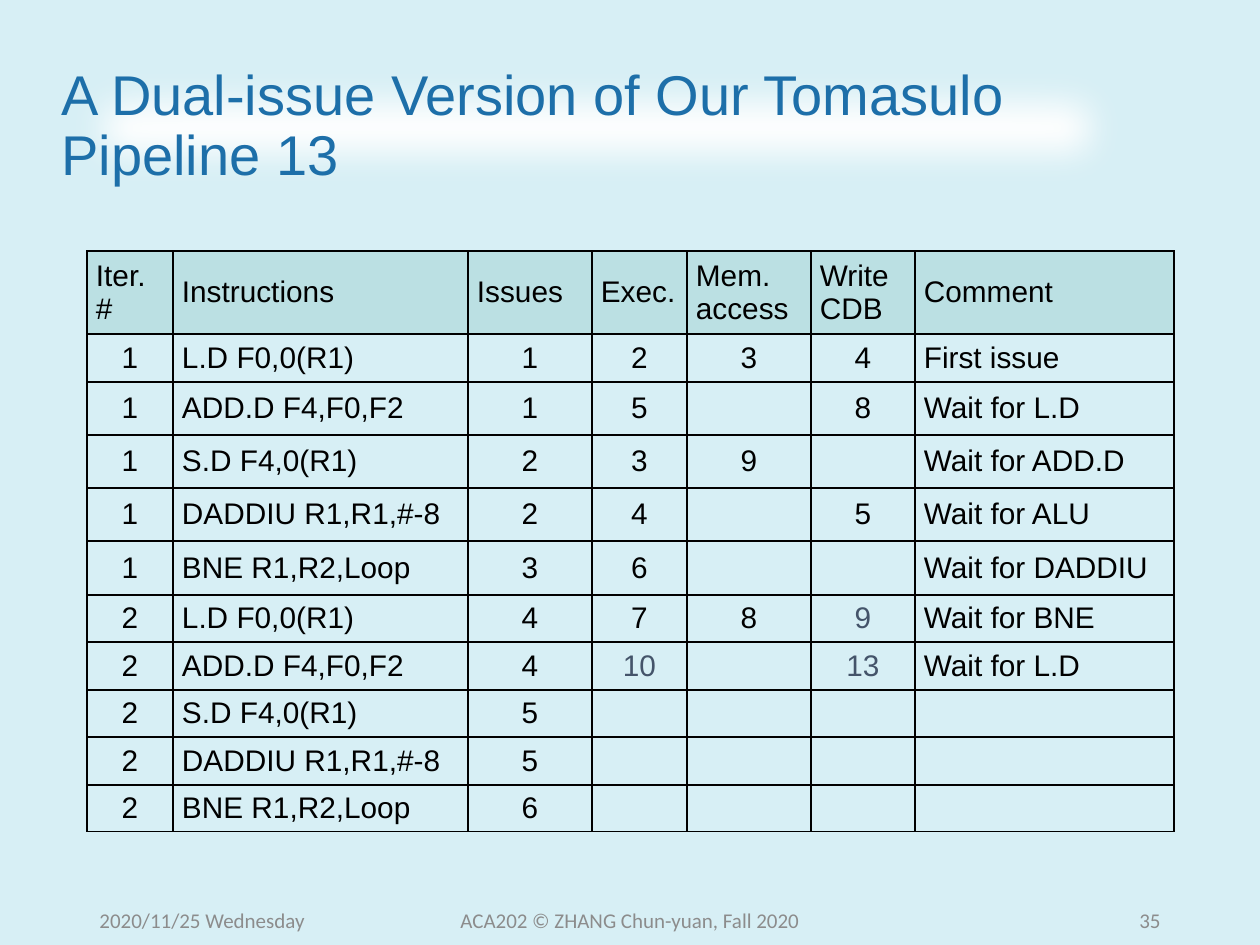
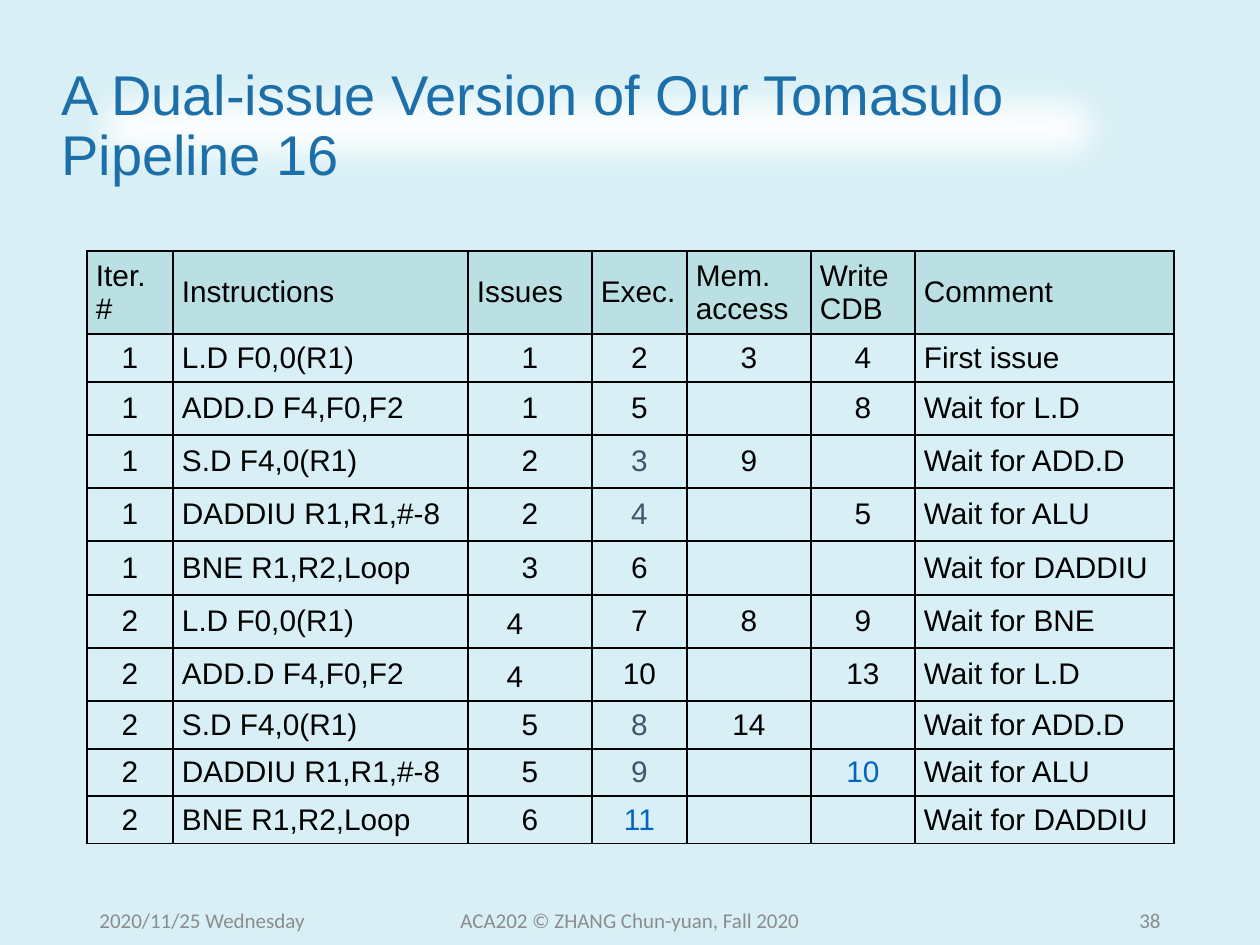
from itertools import pairwise

from lxml import etree
from pptx import Presentation
from pptx.dml.color import RGBColor
from pptx.enum.shapes import MSO_SHAPE
from pptx.enum.text import MSO_ANCHOR, PP_ALIGN
from pptx.oxml.ns import qn
from pptx.util import Emu, Pt

LEFT, CENTER, RIGHT = PP_ALIGN.LEFT, PP_ALIGN.CENTER, PP_ALIGN.RIGHT
JUSTIFY = PP_ALIGN.JUSTIFY
MIDDLE = MSO_ANCHOR.MIDDLE
RECTANGLE = MSO_SHAPE.RECTANGLE

PX_PER_INCH = 126
SLIDE_SIZE = (1260, 945)
TITLE_BOX = (49, 50, 1095, 155)
TABLE_LEFT = 87
FOOTER_TOP, FOOTER_HEIGHT = 895, 50

BACKGROUND = "D7EFF5"
WHITE = "FFFFFF"
BLACK = "000000"
HEADER_FILL = "BBE0E3"
SLATE = "44546A"
BLUE = "0563C1"

TITLE_FORMAT = {"name": "Arial", "size": Pt(32), "color": "1D6FA9"}
CELL_FORMAT = {"name": "Arial", "size": Pt(17), "color": BLACK}
FOOTER_FORMAT = {"name": "Calibri", "size": Pt(12), "color": "8C8C8C"}
CELL_MARGINS = {"margin_left": 9, "margin_right": 9, "margin_top": 5, "margin_bottom": 5}

HEADERS = ["Iter. #", "Instructions", "Issues", "Exec.", "Mem. access", "Write CDB", "Comment"]
COLUMN_WIDTHS = [86, 295, 124, 95, 124, 104, 259]
TEXT_COLUMNS = (1, 6)

LOOP_BODY = ["L.D F0,0(R1)", "ADD.D F4,F0,F2", "S.D F4,0(R1)", "DADDIU R1,R1,#-8", "BNE R1,R2,Loop"]
# Execute, memory access, write to the common data bus, comment
TIMINGS = [
    ("2", "3", "4", "First issue"),
    ("5", "", "8", "Wait for L.D"),
    ("3", "9", "", "Wait for ADD.D"),
    ("4", "", "5", "Wait for ALU"),
    ("6", "", "", "Wait for DADDIU"),
    ("7", "8", "9", "Wait for BNE"),
    ("10", "", "13", "Wait for L.D"),
    ("8", "14", "", "Wait for ADD.D"),
    ("9", "", "10", "Wait for ALU"),
    ("11", "", "", "Wait for DADDIU"),
]

# Highlights map (row, column) to a text colour; row lines are the rules between rows.
PIPELINE_SLIDES = [
    {
        "cycle": 13,
        "number": 35,
        "issues": ["1", "1", "2", "2", "3", "4", "4", "5", "5", "6"],
        "timed_rows": 7,
        "highlights": {(6, 5): SLATE, (7, 3): SLATE, (7, 5): SLATE},
        "row_lines": [251, 334, 382, 435, 488, 541, 595, 642, 690, 737, 785, 832],
    },
    {
        "cycle": 16,
        "number": 38,
        "issues": ["1", "1", "2", "2", "3", "4　", "4　", "5", "5", "6"],
        "timed_rows": 10,
        "highlights": {(3, 3): SLATE, (4, 3): SLATE, (8, 3): SLATE, (9, 3): SLATE,
                       (9, 5): BLUE, (10, 3): BLUE},
        "row_lines": [251, 334, 382, 435, 488, 541, 595, 648, 701, 749, 796, 844],
    },
]


def px(length):
    return Emu(round(length * 914400 / PX_PER_INCH))


def rgb(color):
    return RGBColor.from_string(color)


def write_text(text_frame, text, text_format, alignment):
    """Fill the first paragraph and return it."""
    paragraph = text_frame.paragraphs[0]
    paragraph.alignment = alignment
    run = paragraph.add_run()
    run.text = text
    for name, value in text_format.items():
        if name == "color":
            run.font.color.rgb = rgb(value)
        else:
            setattr(run.font, name, value)
    return paragraph


def soften_edges(shape, radius):
    properties = shape.fill._xPr
    effects = properties.find(qn("a:effectLst"))
    etree.SubElement(effects, qn("a:softEdge"), rad=str(radius))


def add_title(slide, box, text):
    band = slide.shapes.add_shape(RECTANGLE, *map(px, box))
    band.shadow.inherit = False
    band.fill.solid()
    band.fill.fore_color.rgb = rgb(WHITE)
    band.line.fill.background()
    soften_edges(band, Pt(25))
    frame = band.text_frame
    frame.word_wrap = True
    frame.vertical_anchor = MIDDLE
    write_text(frame, text, TITLE_FORMAT, LEFT).line_spacing = 0.9


def add_borders(cell):
    properties = cell._tc.get_or_add_tcPr()
    for side in ("lnL", "lnR", "lnT", "lnB"):
        line = etree.SubElement(properties, qn(f"a:{side}"), w=str(Pt(1)))
        fill = etree.SubElement(line, qn("a:solidFill"))
        etree.SubElement(fill, qn("a:srgbClr"), val=BLACK)


def format_cell(cell, text, color, alignment, fill):
    for name, margin in CELL_MARGINS.items():
        setattr(cell, name, px(margin))
    cell.vertical_anchor = MIDDLE
    add_borders(cell)
    if fill:
        cell.fill.solid()
        cell.fill.fore_color.rgb = rgb(fill)
    else:
        cell.fill.background()
    if text:
        write_text(cell.text_frame, text, CELL_FORMAT | {"color": color}, alignment)
    else:
        paragraph = cell.text_frame.paragraphs[0]._p
        size = int(CELL_FORMAT["size"].pt * 100)
        etree.SubElement(paragraph, qn("a:endParaRPr"), sz=str(size))


def pipeline_rows(issues, timed_rows):
    """Unroll the loop body over its iterations; later rows have no timings yet."""
    rows = [HEADERS]
    for index, issue in enumerate(issues):
        iteration, step = divmod(index, len(LOOP_BODY))
        timing = TIMINGS[index] if index < timed_rows else ("",) * 4
        rows.append([str(iteration + 1), LOOP_BODY[step], issue, *timing])
    return rows


def add_pipeline_table(slide, left, row_lines, rows, highlights):
    box = (left, row_lines[0], sum(COLUMN_WIDTHS), row_lines[-1] - row_lines[0])
    table = slide.shapes.add_table(len(rows), len(HEADERS), *map(px, box)).table
    table.first_row = False
    table.horz_banding = False
    for column, width in zip(table.columns, COLUMN_WIDTHS):
        column.width = px(width)
    for row, (top, bottom) in zip(table.rows, pairwise(row_lines)):
        row.height = px(bottom - top)
    for row_index, values in enumerate(rows):
        is_header = row_index == 0
        for column_index, text in enumerate(values):
            justified = is_header or column_index in TEXT_COLUMNS
            format_cell(
                table.cell(row_index, column_index),
                text,
                highlights.get((row_index, column_index), BLACK),
                JUSTIFY if justified else CENTER,
                HEADER_FILL if is_header else None,
            )


def add_footer(slide, top, height, number):
    parts = [
        (87, 284, "2020/11/25 Wednesday", LEFT),
        (417, 426, "ACA202 © ZHANG Chun-yuan, Fall 2020", CENTER),
        (890, 283, str(number), RIGHT),
    ]
    for left, width, text, alignment in parts:
        frame = slide.shapes.add_textbox(*map(px, (left, top, width, height))).text_frame
        frame.word_wrap = True
        frame.vertical_anchor = MIDDLE
        write_text(frame, text, FOOTER_FORMAT, alignment)


def add_pipeline_slide(presentation, content):
    slide = presentation.slides.add_slide(presentation.slide_layouts[6])
    slide.background.fill.solid()
    slide.background.fill.fore_color.rgb = rgb(BACKGROUND)
    add_title(slide, TITLE_BOX,
              f"A Dual-issue Version of Our Tomasulo Pipeline {content['cycle']}")
    rows = pipeline_rows(content["issues"], content["timed_rows"])
    add_pipeline_table(slide, TABLE_LEFT, content["row_lines"], rows, content["highlights"])
    add_footer(slide, FOOTER_TOP, FOOTER_HEIGHT, content["number"])


def main():
    presentation = Presentation()
    presentation.slide_width, presentation.slide_height = map(px, SLIDE_SIZE)
    for content in PIPELINE_SLIDES:
        add_pipeline_slide(presentation, content)
    presentation.save("out.pptx")


if __name__ == "__main__":
    main()
